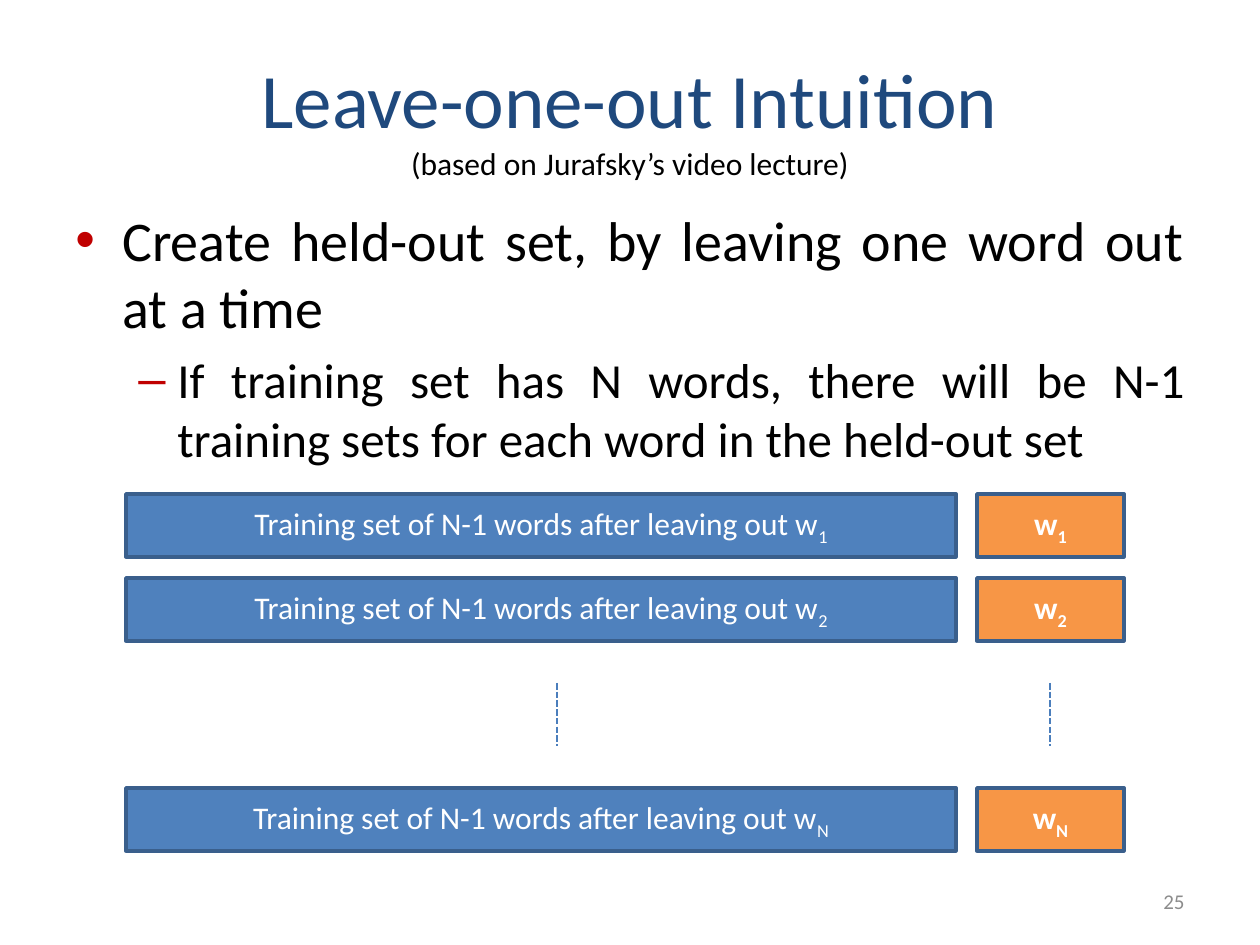
from lxml import etree
from pptx import Presentation
from pptx import util as u
from pptx.dml.color import RGBColor
from pptx.enum import dml, shapes, text
from pptx.oxml.ns import qn

SCALE = 914400 // 126
FONT = "Calibri"
BLACK, WHITE, NAVY, RED, GRAY = "000000", "FFFFFF", "1F497D", "C00000", "8C8C8C"
BLUE, ORANGE, EDGE, DASH = "4F81BD", "F79646", "3A5F8C", "4B7EBC"


def px(*lengths):
    """Turn pixel lengths into EMU."""
    return [u.Emu(round(length * SCALE)) for length in lengths]


def color(value):
    """Turn a hex string into a colour."""
    return RGBColor.from_string(value)


def add_run(paragraph, content, size, hex_color, bold=False):
    """Add a formatted run to a paragraph."""
    run = paragraph.add_run()
    run.text = content
    run.font.name, run.font.size, run.font.bold = FONT, u.Pt(size), bold
    run.font.color.rgb = color(hex_color)
    return run


def add_title(slide, heading, credit):
    """Place the title with a smaller second line."""
    title = slide.shapes.title
    title.left, title.top, title.width, title.height = px(63, 38, 1134, 157)
    frame = title.text_frame
    frame.auto_size = text.MSO_AUTO_SIZE.NONE
    frame.vertical_anchor = text.MSO_ANCHOR.MIDDLE
    paragraph = frame.paragraphs[0]
    paragraph.alignment = text.PP_ALIGN.CENTER
    add_run(paragraph, heading, 44, NAVY)
    paragraph.add_line_break()
    add_run(paragraph, credit, 18, BLACK)


def add_text_box(slide, box):
    """Add a wrapping text box and return its text frame."""
    frame = slide.shapes.add_textbox(*px(*box)).text_frame
    frame.word_wrap = True
    return frame


def format_bullet(paragraph, character, level, margin, hanging):
    """Give a paragraph a coloured bullet and a hanging indent."""
    paragraph.level = level
    properties = paragraph._p.get_or_add_pPr()
    left, indent = px(margin, -hanging)
    properties.set("marL", str(left))
    properties.set("indent", str(indent))
    bullet_color = etree.SubElement(properties, qn("a:buClr"))
    etree.SubElement(bullet_color, qn("a:srgbClr"), val=RED)
    etree.SubElement(properties, qn("a:buFont"), typeface="Arial")
    etree.SubElement(properties, qn("a:buChar"), char=character)


def add_bullets(slide, box, bullets):
    """Add justified bullets from (text, size, character, margin, hanging)."""
    frame = add_text_box(slide, box)
    for level, (content, size, character, margin, hanging) in enumerate(bullets):
        paragraph = frame.add_paragraph() if level else frame.paragraphs[0]
        paragraph.alignment = text.PP_ALIGN.JUSTIFY
        paragraph.space_before = u.Pt(size * 0.2)
        format_bullet(paragraph, character, level, margin, hanging)
        add_run(paragraph, content, size, BLACK)


def add_block(slide, box, fill, label, subscript, bold=False):
    """Add a filled rectangle whose label ends in a subscript."""
    block = slide.shapes.add_shape(shapes.MSO_SHAPE.RECTANGLE, *px(*box))
    block.shadow.inherit = False
    block.fill.solid()
    block.fill.fore_color.rgb = color(fill)
    block.line.color.rgb = color(EDGE)
    block.line.width = u.Pt(2)
    block.text_frame.vertical_anchor = text.MSO_ANCHOR.MIDDLE
    paragraph = block.text_frame.paragraphs[0]
    paragraph.alignment = text.PP_ALIGN.CENTER
    add_run(paragraph, label, 18, WHITE, bold)
    index = add_run(paragraph, subscript, 18, WHITE, bold)
    index.font._element.set("baseline", "-25000")


def add_dashed_line(slide, x, top, bottom):
    """Add a vertical dashed line."""
    line = slide.shapes.add_connector(
        shapes.MSO_CONNECTOR.STRAIGHT, *px(x, top, x, bottom))
    line.line.color.rgb = color(DASH)
    line.line.width = u.Pt(1.25)
    line.line.dash_style = dml.MSO_LINE.SQUARE_DOT
    etree.SubElement(line._element.spPr, qn("a:effectLst"))


def add_page_number(slide, number):
    """Add the page number at the lower right."""
    frame = add_text_box(slide, (903, 876, 294, 50))
    frame.vertical_anchor = text.MSO_ANCHOR.MIDDLE
    paragraph = frame.paragraphs[0]
    paragraph.alignment = text.PP_ALIGN.RIGHT
    add_run(paragraph, number, 12, GRAY)


def main():
    """Build and save the slide."""
    presentation = Presentation()
    presentation.slide_width, presentation.slide_height = px(1260, 945)
    slide = presentation.slides.add_slide(presentation.slide_layouts[5])
    add_title(slide, "Leave-one-out Intuition", "(based on Jurafsky’s video lecture)")
    add_bullets(slide, (63, 199, 1134, 714), [
        ("Create held-out set, by leaving one word out at a time", 32, "•", 47, 47),
        ("If training set has N words, there will be N-1 training sets "
         "for each word in the held-out set", 28, "–", 102, 39),
    ])
    for top, index in ((494, "1"), (578, "2"), (788, "N")):
        add_block(slide, (126, top, 830, 63), BLUE,
                  "Training set of N-1 words after leaving out w", index)
        add_block(slide, (977, top, 147, 63), ORANGE, "w", index, bold=True)
    for x in (557, 1050):
        add_dashed_line(slide, x, 683, 746)
    add_page_number(slide, "25")
    presentation.save("out.pptx")


main()
